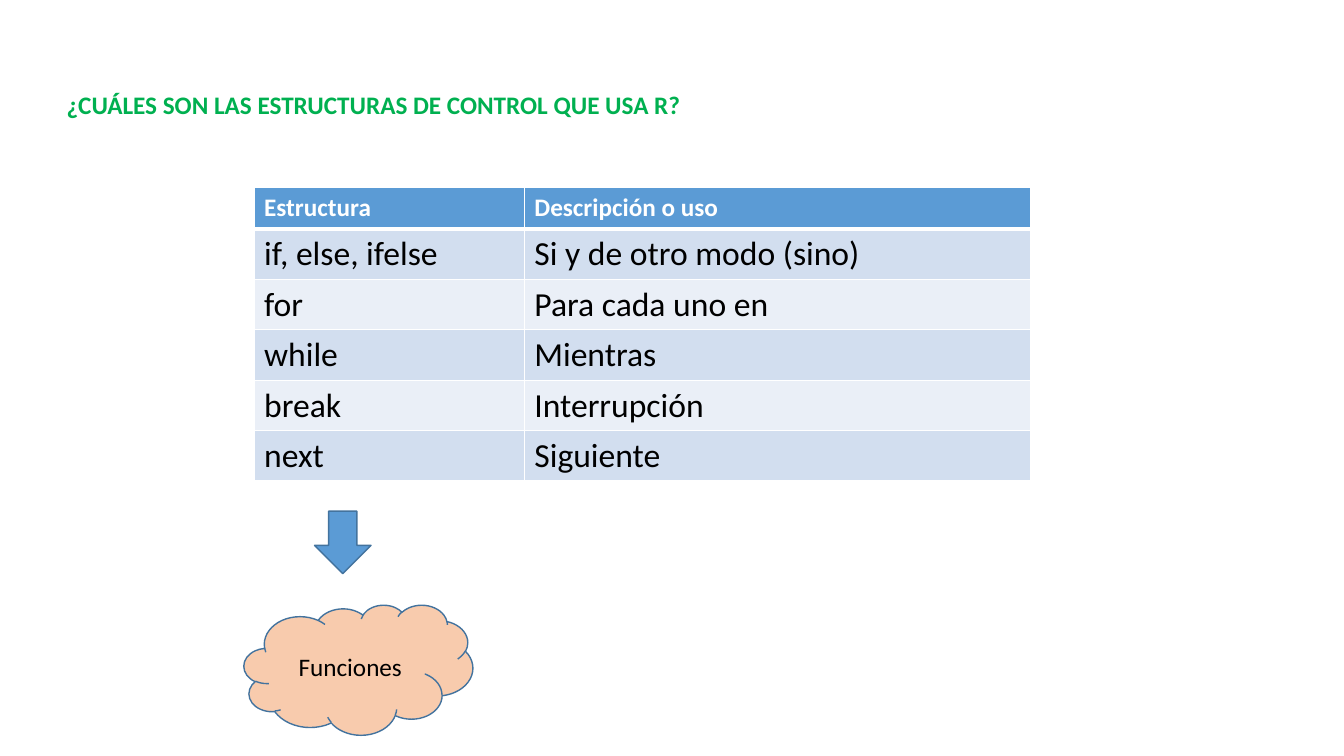
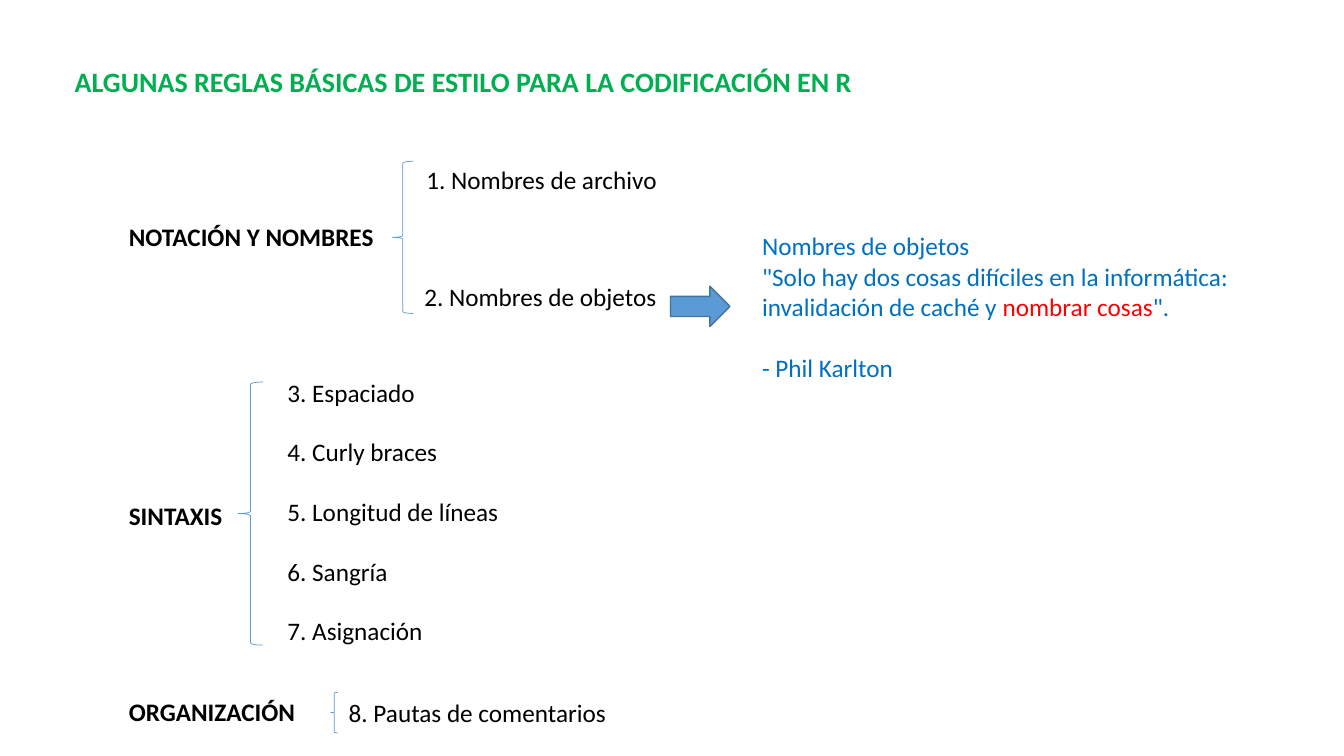
from dataclasses import dataclass

from lxml.etree import SubElement
from pptx import Presentation
from pptx.dml.color import RGBColor
from pptx.enum.shapes import MSO_SHAPE as Shape
from pptx.enum.text import MSO_ANCHOR as Anchor, MSO_AUTO_SIZE as AutoSize, PP_ALIGN as Align
from pptx.oxml.ns import qn
from pptx.util import Inches, Pt


@dataclass(frozen=True)
class Theme:
    font: str = "Calibri"
    text_size: int = 18
    table_size: int = 24
    black: str = "000000"
    white: str = "FFFFFF"
    title: str = "00B050"
    accent: str = "5B9BD5"
    outline: str = "43739E"
    cloud: str = "F8CBAD"
    quote: str = "0070C0"
    highlight: str = "FF0000"
    bands: tuple = ("D2DEEF", "EAEFF7")


THEME = Theme()
TITLE_ONLY, TITLE_AND_CONTENT = 5, 1

STRUCTURES = [
    ("Estructura", "Descripción o uso"),
    ("if, else, ifelse", "Si y de otro modo (sino)"),
    ("for", "Para cada uno en"),
    ("while", "Mientras"),
    ("break", "Interrupción"),
    ("next", "Siguiente"),
]

# Label, label box, brace box
GROUPS = [
    ("NOTACIÓN Y NOMBRES", (1.18, 2.15, 2.65, 0.4), (3.89, 1.6, 0.21, 1.51)),
    ("SINTAXIS", (1.18, 4.91, 1.14, 0.4), (2.36, 3.79, 0.25, 2.61)),
    ("ORGANIZACIÓN", (1.18, 6.86, 1.86, 0.4), (3.28, 6.87, 0.07, 0.4)),
]

SINGLE_RULES = [
    ("1. Nombres de archivo", (4.13, 1.58, 2.51, 0.4)),
    ("2. Nombres de objetos", (4.11, 2.74, 2.53, 0.4)),
    ("8. Pautas de comentarios", (3.36, 6.87, 2.78, 0.4)),
]

SYNTAX_RULES = [
    "3. Espaciado",
    "4. Curly braces",
    "5. Longitud de líneas",
    "6. Sangría",
    "7. Asignación",
]


def inches(box):
    return [Inches(value) for value in box]


def place(shape, box):
    shape.left, shape.top, shape.width, shape.height = inches(box)


def add_run(paragraph, text, color=THEME.black, size=THEME.text_size, bold=False):
    run = paragraph.add_run()
    run.text = text
    font = run.font
    font.name, font.size, font.bold = THEME.font, Pt(size), bold
    font.color.rgb = RGBColor.from_string(color)


def add_paragraph(frame, index):
    """Return the frame's first paragraph, or a new one after it."""
    return frame.add_paragraph() if index else frame.paragraphs[0]


def add_slide(presentation, layout, title, box, size):
    slide = presentation.slides.add_slide(presentation.slide_layouts[layout])
    shape = slide.shapes.title
    place(shape, box)
    frame = shape.text_frame
    frame.word_wrap = False
    frame.auto_size = AutoSize.SHAPE_TO_FIT_TEXT
    frame.vertical_anchor = Anchor.TOP
    paragraph = frame.paragraphs[0]
    paragraph.alignment = Align.LEFT
    add_run(paragraph, title, THEME.title, size, bold=True)
    return slide


def add_text_box(slide, box, wrap=False):
    frame = slide.shapes.add_textbox(*inches(box)).text_frame
    frame.word_wrap = wrap
    frame.auto_size = AutoSize.SHAPE_TO_FIT_TEXT
    return frame


def add_label(slide, text, box, bold=False):
    add_run(add_text_box(slide, box).paragraphs[0], text, bold=bold)


def add_figure(slide, kind, box, fill=None, line=THEME.outline, width=1):
    shape = slide.shapes.add_shape(kind, *inches(box))
    shape.shadow.inherit = False
    if fill:
        shape.fill.solid()
        shape.fill.fore_color.rgb = RGBColor.from_string(fill)
    else:
        shape.fill.background()
    shape.line.color.rgb = RGBColor.from_string(line)
    shape.line.width = Pt(width)
    return shape


def add_brace(slide, box):
    add_figure(slide, Shape.LEFT_BRACE, box, line=THEME.accent, width=0.5)


def fill_list(placeholder, items, box, gap):
    """Fill the body placeholder with unbulleted items, gap points apart."""
    place(placeholder, box)
    frame = placeholder.text_frame
    frame.word_wrap = True
    frame.auto_size = AutoSize.NONE
    for index, item in enumerate(items):
        paragraph = add_paragraph(frame, index)
        paragraph.space_before, paragraph.space_after = Pt(0), Pt(gap)
        properties = paragraph._p.get_or_add_pPr()
        properties.set("marL", "0")
        properties.set("indent", "0")
        SubElement(properties, qn("a:buNone"))
        add_run(paragraph, item)


def set_borders(cell, bottom_width):
    properties = cell._tc.get_or_add_tcPr()
    for side, width in (("L", 1), ("R", 1), ("T", 1), ("B", bottom_width)):
        line = SubElement(properties, qn(f"a:ln{side}"), w=str(Pt(width)))
        fill = SubElement(line, qn("a:solidFill"))
        SubElement(fill, qn("a:srgbClr"), val=THEME.white)


def add_table(slide, rows, left, top, column_widths, header_height, row_height):
    heights = [header_height] + [row_height] * (len(rows) - 1)
    box = (left, top, sum(column_widths), sum(heights))
    table = slide.shapes.add_table(len(rows), len(column_widths), *inches(box)).table
    table.horz_banding = False
    for column, width in zip(table.columns, column_widths):
        column.width = Inches(width)
    for index, (row, height, texts) in enumerate(zip(table.rows, heights, rows)):
        row.height = Inches(height)
        header = index == 0
        fill = THEME.accent if header else THEME.bands[(index - 1) % 2]
        color = THEME.white if header else THEME.black
        size = THEME.text_size if header else THEME.table_size
        for cell, text in zip(row.cells, texts):
            set_borders(cell, 3 if header else 1)
            cell.fill.solid()
            cell.fill.fore_color.rgb = RGBColor.from_string(fill)
            add_run(cell.text_frame.paragraphs[0], text, color, size, bold=header)


def add_quote(slide, box):
    lines = [
        [("Nombres de objetos", THEME.quote)],
        [
            ('"Solo hay dos cosas difíciles en la informática: invalidación de caché y ', THEME.quote),
            ("nombrar cosas", THEME.highlight),
            ('".', THEME.quote),
        ],
        [("- Phil Karlton", THEME.quote)],
    ]
    frame = add_text_box(slide, box, wrap=True)
    for index, line in enumerate(lines):
        paragraph = add_paragraph(frame, index)
        for text, color in line:
            add_run(paragraph, text, color)
    paragraph.space_before = Pt(22)


def build_structures(presentation):
    slide = add_slide(
        presentation, TITLE_ONLY,
        "¿CUÁLES SON LAS ESTRUCTURAS DE CONTROL QUE USA R?",
        (0.56, 0.84, 6.56, 0.4), 18,
    )
    add_table(slide, STRUCTURES, 2.52, 1.86, (2.68, 5.02), 0.41, 0.5)
    cloud = add_figure(slide, Shape.CLOUD, (2.42, 6, 2.27, 1.29), THEME.cloud)
    cloud.text_frame.vertical_anchor = Anchor.MIDDLE
    paragraph = cloud.text_frame.paragraphs[0]
    paragraph.alignment = Align.CENTER
    add_run(paragraph, "Funciones")
    add_figure(slide, Shape.DOWN_ARROW, (3.12, 5.07, 0.56, 0.62), THEME.accent)


def build_style_rules(presentation):
    slide = add_slide(
        presentation, TITLE_AND_CONTENT,
        "ALGUNAS REGLAS BÁSICAS DE ESTILO PARA LA CODIFICACIÓN EN R",
        (0.64, 0.59, 8.04, 0.44), 20,
    )
    fill_list(slide.placeholders[1], SYNTAX_RULES, (2.75, 3.69, 2.6, 2.8), gap=21)
    for label, label_box, brace_box in GROUPS:
        add_label(slide, label, label_box, bold=True)
        add_brace(slide, brace_box)
    for rule, box in SINGLE_RULES:
        add_label(slide, rule, box)
    add_figure(slide, Shape.RIGHT_ARROW, (6.65, 2.84, 0.59, 0.4), THEME.accent)
    add_quote(slide, (7.46, 2.24, 4.95, 1.62))


def main():
    presentation = Presentation()
    presentation.slide_width, presentation.slide_height = Inches(13.33), Inches(7.5)
    build_structures(presentation)
    build_style_rules(presentation)
    presentation.save("out.pptx")


if __name__ == "__main__":
    main()
